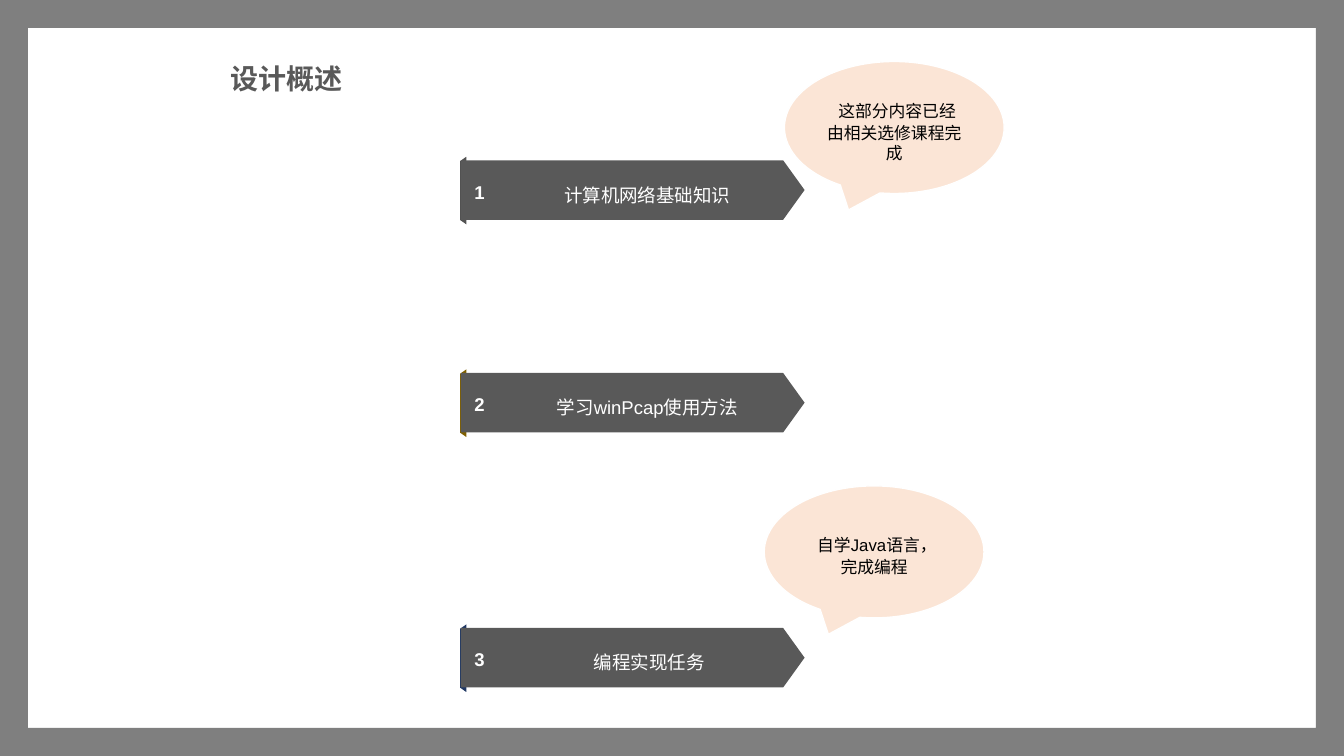
import pptx
import pptx.util
import pptx.dml.color
import pptx.enum.shapes
import pptx.enum.text

Inches = pptx.util.Inches
Pt = pptx.util.Pt
Shape = pptx.enum.shapes.MSO_SHAPE
Anchor = pptx.enum.text.MSO_ANCHOR
Align = pptx.enum.text.PP_ALIGN
Fit = pptx.enum.text.MSO_AUTO_SIZE

COLORS = {
    "white": "FFFFFF",
    "black": "000000",
    "bar": "595959",
    "frame": "7F7F7F",
    "bubble": "FBE5D6",
    "gray": "525252",
    "gold": "806000",
    "navy": "203864",
}

STEPS = [
    (1.59, "1", "计算机网络基础知识 ", "gray"),
    (3.70, "2", "学习winPcap使用方法 ", "gold"),
    (6.23, "3", "编程实现任务", "navy"),
]

BUBBLES = [
    (7.58, 4.82, "自学Java语言，完成编程"),
    (7.78, 0.61, "这部分内容已经由相关选修课程完成"),
]


def color(name):
    return pptx.dml.color.RGBColor.from_string(COLORS[name])


def add_run(para, text, size, tint, bold=False):
    run = para.add_run()
    run.text = text
    run.font.name = "Arial"
    run.font.size = Pt(size)
    run.font.bold = bold
    run.font.color.rgb = color(tint)


def add_form(shapes, kind, box, fill, adjust=None):
    form = shapes.add_shape(kind, *map(Inches, box))
    form.shadow.inherit = False
    form.fill.solid()
    form.fill.fore_color.rgb = color(fill)
    form.line.fill.background()
    if adjust is not None:
        form.adjustments[0] = adjust
    return form


def add_label(shapes, box, text, size, tint, bold=False, wrap=True):
    label = shapes.add_textbox(*map(Inches, box))
    frame = label.text_frame
    frame.word_wrap = wrap
    frame.auto_size = Fit.SHAPE_TO_FIT_TEXT
    para = frame.paragraphs[0]
    para.alignment = Align.CENTER
    add_run(para, text, size, tint, bold)
    return frame


def add_step(slide, top, number, text, fold):
    shapes = slide.shapes.add_group_shape().shapes
    flap = add_form(shapes, Shape.TRAPEZOID, (4.26, top + 0.27, 0.67, 0.06), fold, 0.7)
    flap.rotation = 270
    add_form(shapes, Shape.PENTAGON, (4.57, top, 3.41, 0.59), "bar", 0.36)
    name = add_label(shapes, (5.31, top + 0.14, 2.26, 0.35), text, 13.2, "white")
    digit = add_label(shapes, (4.6, top + 0.11, 0.31, 0.37), number, 13.2, "white", True, False)
    for frame in (name, digit):
        frame.paragraphs[0].line_spacing = 1.2


def add_title(slide, text):
    frame = add_label(slide.shapes, (1.55, 0.61, 2.58, 0.34), text, 20, "bar", True)
    frame.margin_left = frame.margin_right = 0
    frame.margin_top = frame.margin_bottom = 0
    frame.paragraphs[0].space_before = Pt(4)


def add_bubble(slide, left, top, text):
    bubble = add_form(slide.shapes, Shape.OVAL_CALLOUT, (left, top, 2.18, 1.31), "bubble")
    bubble.line.color.rgb = color("white")
    bubble.line.width = Pt(1)
    frame = bubble.text_frame
    frame.word_wrap = True
    frame.vertical_anchor = Anchor.MIDDLE
    para = frame.paragraphs[0]
    para.alignment = Align.CENTER
    add_run(para, " ", 18, "white")
    add_run(para, text, 12, "black")


def main():
    deck = pptx.Presentation()
    deck.slide_width = Inches(13.33)
    deck.slide_height = Inches(7.5)
    slide = deck.slides.add_slide(deck.slide_layouts[6])
    for step in STEPS:
        add_step(slide, *step)
    add_form(slide.shapes, Shape.FRAME, (0, 0, 13.33, 7.5), "frame", 0.037)
    add_title(slide, "设计概述")
    for bubble in BUBBLES:
        add_bubble(slide, *bubble)
    deck.save("out.pptx")


if __name__ == "__main__":
    main()
